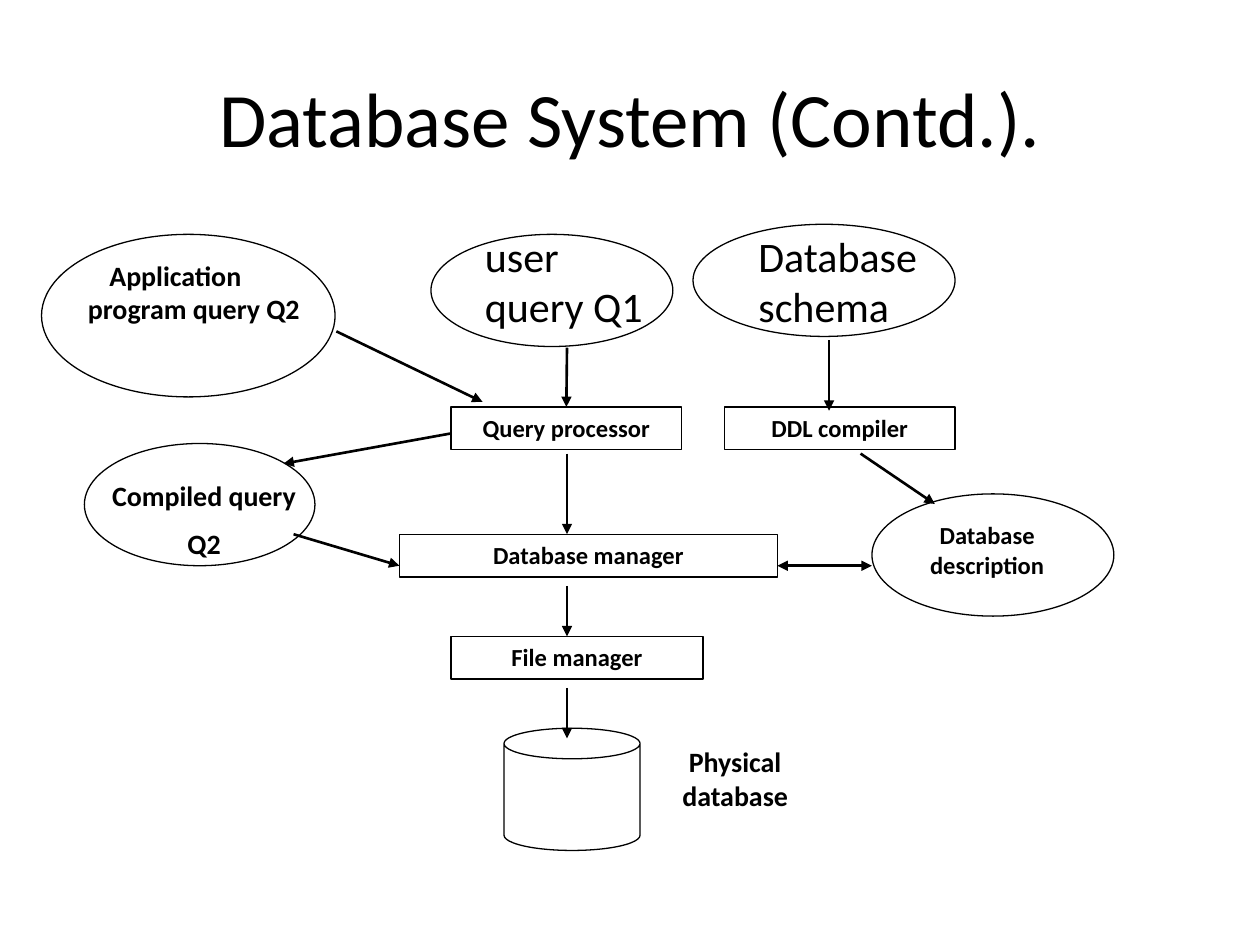
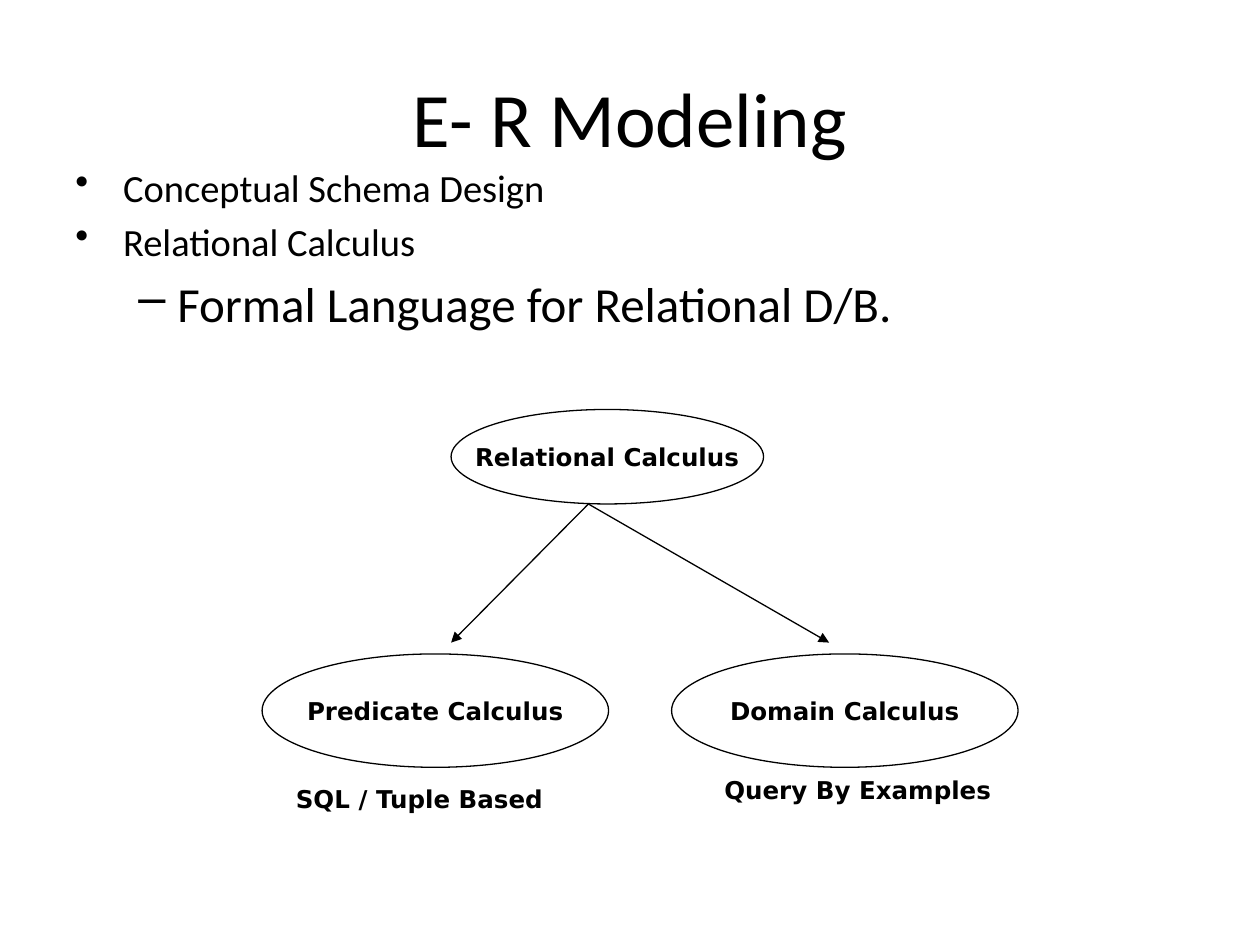
from dataclasses import dataclass
from typing import Optional

import pptx
import pptx.dml.color
import pptx.enum.shapes
import pptx.enum.text
import pptx.oxml
import pptx.oxml.ns
import pptx.util
from pptx.util import Inches

Kind = pptx.enum.shapes.MSO_SHAPE
Align = pptx.enum.text.PP_ALIGN
Anchor = pptx.enum.text.MSO_ANCHOR
qn = pptx.oxml.ns.qn


@dataclass(frozen=True)
class Theme:
    ink: pptx.dml.color.RGBColor = pptx.dml.color.RGBColor(0, 0, 0)
    paper: pptx.dml.color.RGBColor = pptx.dml.color.RGBColor(255, 255, 255)
    sans: str = "Calibri"
    wide: str = "DejaVu Sans"
    title: float = 44
    sub: float = 28
    large: float = 24
    point: float = 22
    note: float = 16
    label: float = 14
    thin: float = 0.75
    thick: float = 1.5


THEME = Theme()


@dataclass(frozen=True)
class Style:
    size: float
    bold: bool = True
    font: str = THEME.sans
    align: Align = Align.CENTER
    anchor: Anchor = Anchor.TOP
    wrap: bool = True


TITLE = Style(THEME.title, bold=False, anchor=Anchor.MIDDLE)
LARGE = Style(THEME.large, bold=False, align=Align.LEFT)
NOTE = Style(THEME.note)
LABEL = Style(THEME.label)
NODE = Style(THEME.label, font=THEME.wide, anchor=Anchor.MIDDLE, wrap=False)
TAG = Style(THEME.label, font=THEME.wide, align=Align.LEFT, wrap=False)


@dataclass(frozen=True)
class Item:
    """A text box, or a preset shape when kind is given."""
    left: float
    top: float
    width: float
    height: float
    text: str = ""
    style: Style = LABEL
    kind: Optional[Kind] = None
    solid: bool = False
    indent: tuple[float, float] = (0, 0)


@dataclass(frozen=True)
class Arrow:
    x1: float
    y1: float
    x2: float
    y2: float
    both: bool = False
    goal: str = ""  # label of the box whose top middle it joins


@dataclass(frozen=True)
class Point:
    text: str
    size: float
    mark: str
    left: float
    hang: float


def set_indent(para, left: float, first: float) -> None:
    props = para._p.get_or_add_pPr()
    props.set("marL", str(Inches(left)))
    props.set("indent", str(Inches(first)))


def paint(para, size: float, bold: bool, font: str) -> None:
    for run in para.runs:
        run.font.size = pptx.util.Pt(size)
        run.font.bold = bold
        run.font.name = font
        run.font.color.rgb = THEME.ink


def add_item(slide, item: Item):
    place = [Inches(v) for v in (item.left, item.top, item.width, item.height)]
    if item.kind is None:
        shape = slide.shapes.add_textbox(*place)
    else:
        shape = slide.shapes.add_shape(item.kind, *place)
        shape.shadow.inherit = False
        shape.line.color.rgb = THEME.ink
        shape.line.width = pptx.util.Pt(THEME.thin)
        if item.solid:
            shape.fill.solid()
            shape.fill.fore_color.rgb = THEME.paper
        else:
            shape.fill.background()
    style, frame = item.style, shape.text_frame
    frame.word_wrap = style.wrap
    frame.vertical_anchor = style.anchor
    frame.text = item.text
    for i, para in enumerate(frame.paragraphs):
        para.alignment = style.align
        if i:
            para.space_before = pptx.util.Pt(style.size / 2)
        if any(item.indent):
            set_indent(para, *item.indent)
        paint(para, style.size, style.bold, style.font)
    return shape


def add_arrow(slide, arrow: Arrow, width: float, boxes: dict) -> None:
    ends = [Inches(v) for v in (arrow.x1, arrow.y1, arrow.x2, arrow.y2)]
    link = slide.shapes.add_connector(
        pptx.enum.shapes.MSO_CONNECTOR.STRAIGHT, *ends)
    if arrow.goal:
        link.end_connect(boxes[arrow.goal], 0)
    link.line.color.rgb = THEME.ink
    link.line.width = pptx.util.Pt(width)
    line = link.line._get_or_add_ln()
    for tag in ("a:headEnd", "a:tailEnd") if arrow.both else ("a:tailEnd",):
        pptx.oxml.xmlchemy.OxmlElement(tag)
        end = line.makeelement(qn(tag), {"type": "triangle"})
        line.append(end)
    props = link._element.spPr
    props.append(props.makeelement(qn("a:effectLst"), {}))


def add_points(slide, points: list[Point]) -> None:
    box = slide.shapes.add_textbox(
        Inches(0.5), Inches(1.25), Inches(9), Inches(5.42))
    frame = box.text_frame
    frame.word_wrap = True
    frame.text = "\n".join(point.text for point in points)
    for i, (para, point) in enumerate(zip(frame.paragraphs, points)):
        if i:
            para.space_before = pptx.util.Pt(point.size * 0.2)
        set_indent(para, point.left, -point.hang)
        props = para._p.get_or_add_pPr()
        props.append(props.makeelement(qn("a:buChar"), {"char": point.mark}))
        paint(para, point.size, False, THEME.sans)


def add_page(deck, title: str, items: list[Item], arrows: list[Arrow],
             width: float):
    slide = deck.slides.add_slide(deck.slide_layouts[6])
    add_item(slide, Item(0.5, 0.3, 9, 1.25, title, TITLE))
    boxes = {item.text: add_item(slide, item) for item in items}
    for arrow in arrows:
        add_arrow(slide, arrow, width, boxes)
    return slide


def oval(*place: float) -> Item:
    return Item(*place, kind=Kind.OVAL)


def stage(left: float, top: float, width: float, text: str) -> Item:
    return Item(left, top, width, 0.34, text, LABEL, Kind.RECTANGLE)


def node(left: float, top: float, width: float, high: float, text: str) -> Item:
    return Item(left, top, width, high, text, NODE, Kind.OVAL, True)


AXIS = 4.5  # the main flow runs down this line

SYSTEM = [
    oval(0.33, 1.86, 2.33, 1.29),
    oval(3.42, 1.86, 1.92, 0.89),
    oval(5.5, 1.78, 2.08, 0.89),
    oval(0.67, 3.52, 1.83, 0.97),
    oval(6.92, 3.92, 1.92, 0.97),
    Item(4, 5.78, 1.08, 0.97, kind=Kind.CAN),
    stage(3.58, 3.23, 1.83, "Query processor"),
    stage(5.75, 3.23, 1.83, "DDL compiler"),
    stage(3.17, 4.24, 3, "Database manager"),
    stage(3.58, 5.05, 2, "File manager"),
    Item(3.75, 1.78, 1.92, 0.91, "user\vquery Q1", LARGE),
    Item(5.92, 1.78, 1.92, 0.91, "Database schema", LARGE),
    Item(0.58, 2, 2, 0.9, "Application\vprogram query Q2",
         Style(THEME.note, align=Align.LEFT), indent=(0.02, 0.17)),
    Item(0.58, 3.75, 2.08, 0.77, "Compiled query\nQ2", NOTE),
    Item(7, 4.08, 1.67, 0.57, "Database description", LABEL),
    Item(5.17, 5.86, 1.33, 0.63, "Physical database", NOTE),
]

FLOW = [
    Arrow(AXIS, 2.76, AXIS, 3.23, goal="Query processor"),
    Arrow(AXIS, 3.6, AXIS, 4.24),
    Arrow(AXIS, 4.65, AXIS, 5.05),
    Arrow(AXIS, 5.46, AXIS, 5.86),
    Arrow(6.58, 2.7, 6.58, 3.26),
    Arrow(2.67, 2.63, 3.83, 3.19),
    Arrow(3.58, 3.44, 2.25, 3.68),
    Arrow(2.33, 4.24, 3.17, 4.49),
    Arrow(6.83, 3.6, 7.42, 4),
    Arrow(6.17, 4.49, 6.92, 4.49, both=True),
]

CALCULUS = [
    node(3.58, 3.25, 2.48, 0.75, "Relational Calculus"),
    node(2.08, 5.19, 2.75, 0.9, "Predicate Calculus"),
    node(5.33, 5.19, 2.75, 0.9, "Domain Calculus"),
    Item(2.25, 6.17, 2.24, 0.34, "SQL / Tuple Based", TAG),
    Item(5.65, 6.1, 2.33, 0.34, "Query By Examples", TAG),
]

BRANCHES = [Arrow(4.67, 4, x, 5.1) for x in (3.58, 6.58)]

POINTS = [
    Point("Conceptual Schema Design", THEME.point, "•", 0.38, 0.38),
    Point("Relational Calculus", THEME.point, "•", 0.38, 0.38),
    Point("Formal Language for Relational D/B.", THEME.sub, "–", 0.81, 0.31),
]


def main() -> None:
    deck = pptx.Presentation()
    deck.slide_width, deck.slide_height = Inches(10), Inches(7.5)
    add_page(deck, "Database System (Contd.).", SYSTEM, FLOW, THEME.thick)
    page = add_page(deck, "E- R Modeling", CALCULUS, BRANCHES, THEME.thin)
    add_points(page, POINTS)
    deck.save("out.pptx")


if __name__ == "__main__":
    main()
